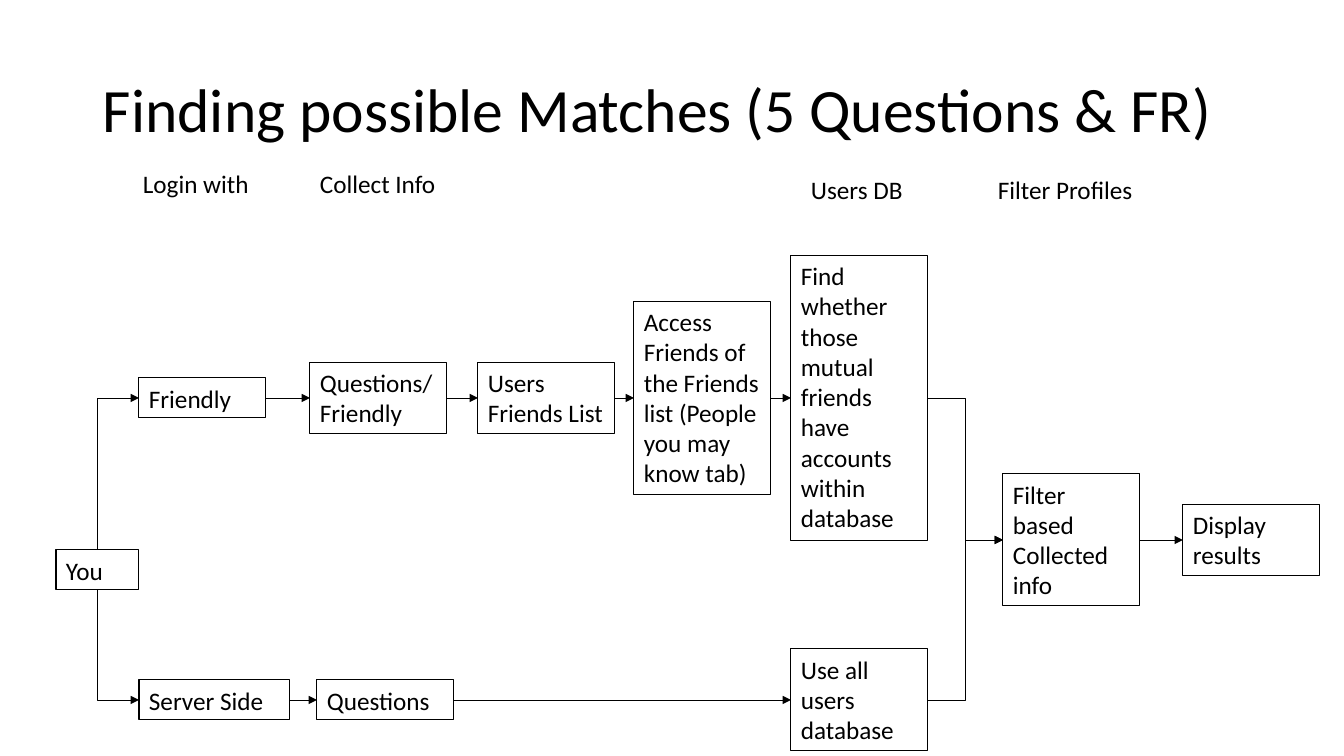
from lxml import etree
from pptx import Presentation
from pptx import util as u
from pptx.dml.color import RGBColor
from pptx.enum import shapes, text
from pptx.oxml.ns import qn

PX = u.Inches(1) / 100.8
COLORS = {"ink": "000000"}
LEFT_SITE, RIGHT_SITE = 1, 3
BOX_WIDTH = 137
TOP_ROW, BOTTOM_ROW, FILTER_ROW, YOU_ROW = 398, 700, 540, 570

BOXES = {
    "you": ("You", 56, YOU_ROW, 83, 1),
    "login": ("Friendly", 139, TOP_ROW, 127, 1),
    "server": ("Server Side", 139, BOTTOM_ROW, 151, 1),
    "info": ("Questions/Friendly", 310, TOP_ROW, BOX_WIDTH, 2),
    "questions": ("Questions", 317, BOTTOM_ROW, BOX_WIDTH, 1),
    "friends": ("Users Friends List", 478, TOP_ROW, BOX_WIDTH, 2),
    "access": ("Access Friends of the Friends list (People you may know tab)",
               634, TOP_ROW, BOX_WIDTH, 6),
    "find": ("Find whether those mutual friends have accounts within database",
             791, TOP_ROW, BOX_WIDTH, 9),
    "all_users": ("Use all users database", 791, BOTTOM_ROW, BOX_WIDTH, 3),
    "filter": ("Filter based Collected info", 1003, FILTER_ROW, BOX_WIDTH, 4),
    "display": ("Display results", 1183, FILTER_ROW, BOX_WIDTH, 2),
}
HEADINGS = [
    ("Login with", 133, 163, 137),
    ("Collect Info", 310, 163, 137),
    ("Users DB", 801, 169, 116),
    ("Filter Profiles", 988, 169, 167),
]
FLOWS = [
    ("login", "info", "friends", "access", "find", "filter", "display"),
    ("server", "questions", "all_users", "filter"),
]


def px(value):
    return u.Emu(round(value * PX))


def color(name):
    return RGBColor.from_string(COLORS[name])


def write_text(shape, content, size=18, anchor=text.MSO_ANCHOR.TOP, spacing=1.0,
               fit=text.MSO_AUTO_SIZE.SHAPE_TO_FIT_TEXT):
    frame = shape.text_frame
    frame.word_wrap = True
    frame.auto_size = fit
    frame.vertical_anchor = anchor
    paragraph = frame.paragraphs[0]
    paragraph.alignment = text.PP_ALIGN.LEFT
    paragraph.line_spacing = spacing
    run = paragraph.add_run()
    run.text = content
    run.font.name = "Calibri"
    run.font.size = u.Pt(size)
    run.font.color.rgb = color("ink")


def add_label(slide, content, left, top, width, height=40, **text_format):
    label = slide.shapes.add_textbox(px(left), px(top), px(width), px(height))
    write_text(label, content, **text_format)


def add_box(slide, content, left, middle, width, lines):
    height = round(9.7 + 30.6 * lines)
    box = slide.shapes.add_shape(shapes.MSO_SHAPE.RECTANGLE, px(left),
                                 px(middle - height / 2), px(width), px(height))
    box.shadow.inherit = False
    box.fill.background()
    box.line.color.rgb = color("ink")
    box.line.width = u.Pt(0.75)
    write_text(box, content)
    return box


def add_arrow(slide, kind, start=(0, 0), end=(0, 0)):
    arrow = slide.shapes.add_connector(kind, *start, *end)
    arrow.line.color.rgb = color("ink")
    arrow.line.width = u.Pt(0.5)
    etree.SubElement(arrow.line._get_or_add_ln(), qn("a:tailEnd"), type="triangle")
    etree.SubElement(arrow._element.spPr, qn("a:effectLst"))
    return arrow


def link_boxes(slide, source, target):
    level = abs(source.top + source.height / 2 - target.top - target.height / 2) < px(2)
    kind = shapes.MSO_CONNECTOR.STRAIGHT if level else shapes.MSO_CONNECTOR.ELBOW
    arrow = add_arrow(slide, kind)
    arrow.begin_connect(source, RIGHT_SITE)
    arrow.end_connect(target, LEFT_SITE)


def branch_from_edge(slide, source, target):
    middle = target.top + target.height // 2
    edge = source.top if middle < source.top else source.top + source.height
    arrow = add_arrow(slide, shapes.MSO_CONNECTOR.ELBOW,
                      (source.left + source.width // 2, edge), (target.left, middle))
    guides = arrow._element.spPr.find(qn("a:prstGeom")).find(qn("a:avLst"))
    etree.SubElement(guides, qn("a:gd"), name="adj1", fmla="val 0")


def main():
    presentation = Presentation()
    presentation.slide_width = px(1344)
    presentation.slide_height = px(756)
    slide = presentation.slides.add_slide(presentation.slide_layouts[6])

    add_label(slide, "Finding possible Matches (5 Questions & FR)", 93, 40, 1159, 146,
              size=44, anchor=text.MSO_ANCHOR.MIDDLE, spacing=0.9,
              fit=text.MSO_AUTO_SIZE.NONE)
    for heading in HEADINGS:
        add_label(slide, *heading)
    boxes = {name: add_box(slide, *details) for name, details in BOXES.items()}
    for flow in FLOWS:
        branch_from_edge(slide, boxes["you"], boxes[flow[0]])
        for source, target in zip(flow, flow[1:]):
            if (source, target) != ("filter", "display"):
                link_boxes(slide, boxes[source], boxes[target])
    link_boxes(slide, boxes["filter"], boxes["display"])
    presentation.save("out.pptx")


if __name__ == "__main__":
    main()
